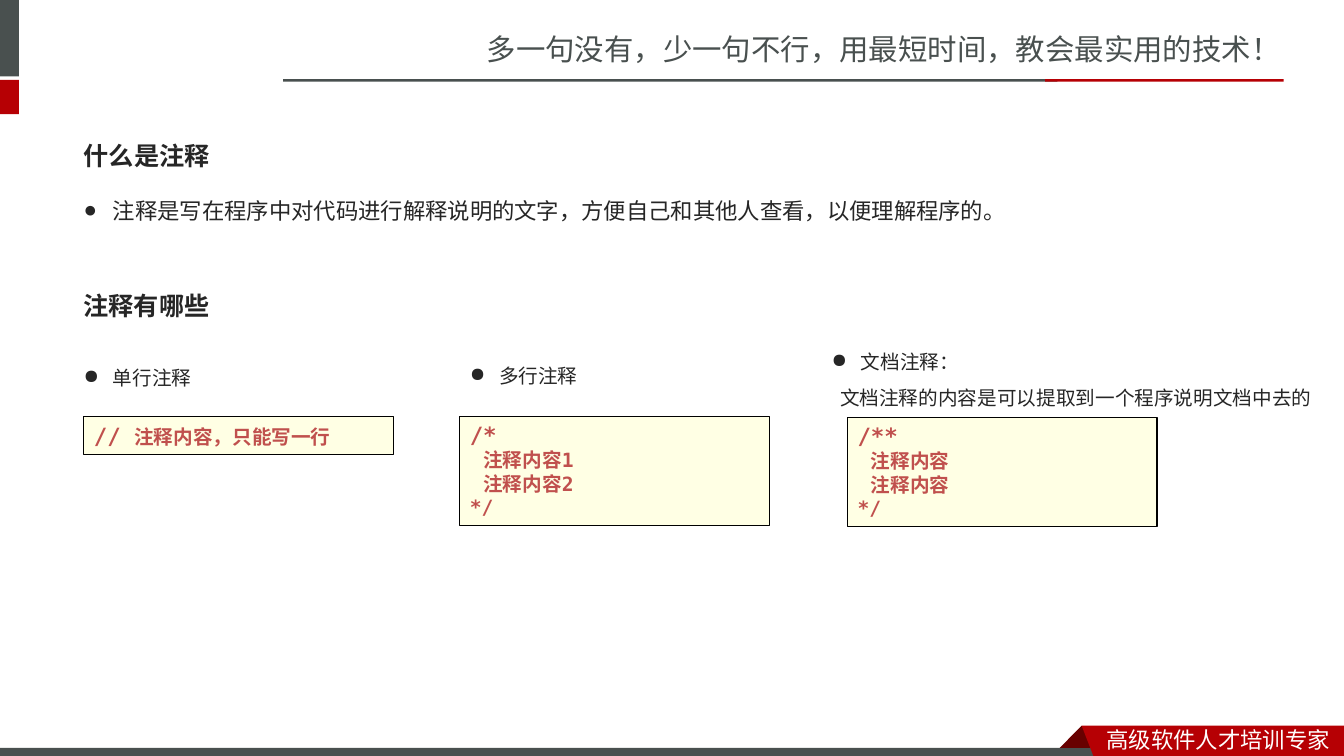
import pptx
import pptx.dml.color
import pptx.enum.shapes
import pptx.enum.text
import pptx.oxml.ns
import pptx.util
from lxml import etree

Pt = pptx.util.Pt

SANS, HEADING, MONO = "Noto Sans CJK SC", "Noto Sans CJK JP", "DejaVu Sans Mono"
GRAY, RED, DARK_RED, INK = "49504F", "B60004", "680000", "262626"
WHITE, CODE_RED, CREAM, BLACK = "FFFFFF", "C0504D", "FFFFE4", "000000"

SLOGAN = "多一句没有，少一句不行，用最短时间，教会最实用的技术！"
FOOTER = "高级软件人才培训专家"
DEFINITION_TITLE = "什么是注释"
DEFINITION = "注释是写在程序中对代码进行解释说明的文字，方便自己和其他人查看，以便理解程序的。"
KINDS_TITLE = "注释有哪些"

# left, top, width, height, colour
BARS = [
    (0, 0, 13.5, 54.5, GRAY),
    (0, 57, 13.5, 24.5, RED),
    (202.3, 56.6, 553, 1.7, GRAY),
    (746.6, 56.6, 170.4, 1.7, RED),
    (0, 534.2, 791, 5.8, GRAY),
]
RIBBONS = [
    ([(772.6, 518.4), (788.4, 534.2), (757, 534.2)], DARK_RED),
    ([(772.6, 518.4), (960, 518.4), (960, 540), (781, 540)], RED),
]

# label box, label, note, code left, code top, code lines as (text, size) runs
KINDS = [
    ((52.6, 249.8, 300, 30), "单行注释", None, 60, 297.8,
     [[("// ", 16), ("注释内容，只能写一行", 14)]]),
    ((328.5, 248, 111, 30), "多行注释", None, 328.5, 297.4,
     [[("/*", 16)], [("   注释内容1", 14)], [("   注释内容2", 14)], [("*/", 14)]]),
    ((587, 238.3, 367, 55.5), "文档注释：", "文档注释的内容是可以提取到一个程序说明文档中去的",
     605.5, 298,
     [[("/**", 16)], [("   注释内容", 14)], [("   注释内容", 14)], [("*/", 14)]]),
]
CODE_WIDTH, CODE_LINE, CODE_PADDING = 221, 17, 9.8


def rgb(value):
    return pptx.dml.color.RGBColor.from_string(value)


def place(shape, left, top, width, height):
    shape.left, shape.top, shape.width, shape.height = map(Pt, (left, top, width, height))


def paint(shape, fill, line=None):
    shape.shadow.inherit = False
    shape.fill.solid()
    shape.fill.fore_color.rgb = rgb(fill)
    if line:
        shape.line.color.rgb = rgb(line)
        shape.line.width = Pt(0.75)
    else:
        shape.line.fill.background()


def format_run(run, size, color, font, bold=False):
    run.font.size = Pt(size)
    run.font.color.rgb = rgb(color)
    run.font.name = font
    run.font.bold = bold
    east_asian = etree.SubElement(run.font._element, pptx.oxml.ns.qn("a:ea"))
    east_asian.set("typeface", SANS if font == MONO else font)


def format_paragraph(paragraph, size, color, font, bold=False):
    paragraph.alignment = pptx.enum.text.PP_ALIGN.LEFT
    paragraph.space_before = Pt(0)
    for run in paragraph.runs:
        format_run(run, size, color, font, bold)


def indent(paragraph, margin, first_line, bullet=None):
    properties = paragraph._p.get_or_add_pPr()
    properties.set("marL", str(Pt(margin)))
    properties.set("indent", str(Pt(first_line)))
    if bullet:
        mark = etree.SubElement(properties, pptx.oxml.ns.qn("a:buChar"))
        mark.set("char", bullet)
    paragraph.line_spacing = 1.5


def write(shape, text, size, color, font, bold=False, middle=False):
    """Fill the shape with one left-aligned paragraph and return it."""
    frame = shape.text_frame
    frame.word_wrap = True
    frame.auto_size = pptx.enum.text.MSO_AUTO_SIZE.NONE
    anchors = pptx.enum.text.MSO_ANCHOR
    frame.vertical_anchor = anchors.MIDDLE if middle else anchors.TOP
    frame.text = text
    format_paragraph(frame.paragraphs[0], size, color, font, bold)
    return frame.paragraphs[0]


def add_text_box(slide, box):
    return slide.shapes.add_textbox(*map(Pt, box))


def add_rectangle(slide, box, fill, line=None):
    kind = pptx.enum.shapes.MSO_SHAPE.RECTANGLE
    shape = slide.shapes.add_shape(kind, *map(Pt, box))
    paint(shape, fill, line)
    return shape


def add_frame(slide):
    """Draw the slogan, the side and rule bars, and the footer ribbon."""
    for *box, color in BARS:
        add_rectangle(slide, box, color)
    for points, color in RIBBONS:
        corners = [(Pt(x), Pt(y)) for x, y in points]
        builder = slide.shapes.build_freeform(*corners[0])
        builder.add_line_segments(corners[1:], close=True)
        paint(builder.convert_to_shape(), color)
    write(add_text_box(slide, (340.6, 18.7, 590, 32.4)), SLOGAN, 21, GRAY, SANS)
    write(add_text_box(slide, (783.4, 514.8, 176.6, 25.2)), FOOTER, 16, WHITE, SANS)


def add_kind(slide, label_box, label, note, left, top, lines):
    label_shape = add_text_box(slide, label_box)
    indent(write(label_shape, label, 14, INK, MONO), 20.9, -20.9, "●")
    if note:
        paragraph = label_shape.text_frame.add_paragraph()
        paragraph.text = note
        indent(paragraph, 0, 6)
        format_paragraph(paragraph, 14, INK, MONO)

    height = CODE_LINE * len(lines) + CODE_PADDING
    code = add_rectangle(slide, (left, top, CODE_WIDTH, height), CREAM, BLACK)
    frame = code.text_frame
    frame.word_wrap = True
    frame.vertical_anchor = pptx.enum.text.MSO_ANCHOR.TOP
    for number, runs in enumerate(lines):
        paragraph = frame.add_paragraph() if number else frame.paragraphs[0]
        paragraph.alignment = pptx.enum.text.PP_ALIGN.LEFT
        for text, size in runs:
            run = paragraph.add_run()
            run.text = text
            format_run(run, size, CODE_RED, MONO, bold=True)


def main():
    presentation = pptx.Presentation()
    presentation.slide_width, presentation.slide_height = Pt(960), Pt(540)
    slide = presentation.slides.add_slide(presentation.slide_layouts[1])
    title, body = slide.placeholders

    add_frame(slide)
    place(title, 52.6, 90.7, 846.7, 41)
    write(title, DEFINITION_TITLE, 18, INK, HEADING, bold=True, middle=True)
    place(body, 52.6, 127.4, 864.7, 34)
    indent(write(body, DEFINITION, 16, INK, HEADING), 20.9, -20.9, "●")

    kinds_title = add_text_box(slide, (52.6, 198, 846.7, 41))
    write(kinds_title, KINDS_TITLE, 18, INK, HEADING, bold=True, middle=True)
    for kind in KINDS:
        add_kind(slide, *kind)
    presentation.save("out.pptx")


if __name__ == "__main__":
    main()
